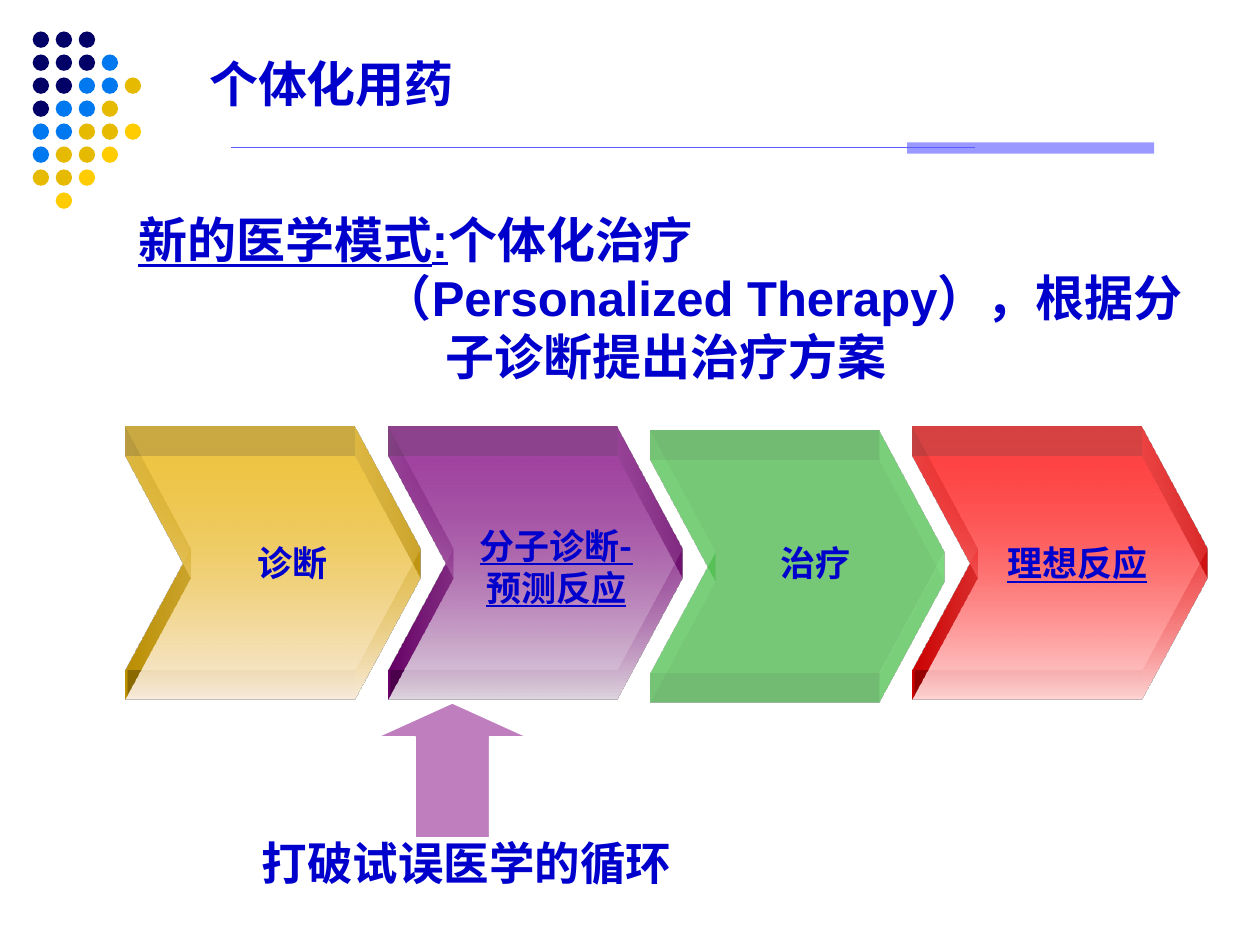
from dataclasses import dataclass

from lxml import etree
from pptx import Presentation
from pptx.dml.color import RGBColor
from pptx.enum.shapes import MSO_CONNECTOR, MSO_SHAPE
from pptx.enum.text import MSO_ANCHOR, PP_ALIGN
from pptx.oxml.ns import qn
from pptx.util import Inches, Pt

OVAL, RECTANGLE, UP_ARROW = MSO_SHAPE.OVAL, MSO_SHAPE.RECTANGLE, MSO_SHAPE.UP_ARROW
STRAIGHT = MSO_CONNECTOR.STRAIGHT
LEFT, CENTER = PP_ALIGN.LEFT, PP_ALIGN.CENTER
TOP, MIDDLE = MSO_ANCHOR.TOP, MSO_ANCHOR.MIDDLE


@dataclass(frozen=True)
class Theme:
    text: str = "0000CC"
    rule: str = "5D5DFF"
    accent: str = "9999FF"
    arrow: str = "800080"
    white: str = "FFFFFF"
    latin: str = "Arial"
    chinese: str = "Noto Sans CJK SC"
    heading: int = 28
    label: int = 20
    caption: int = 26


THEME = Theme()

TITLE = "个体化用药"
MODEL = [
    (-2.44, [("新的医学模式:", True), ("个体化治疗", False)]),
    (-0.5, [("（Personalized Therapy），根据分子诊断提出治疗方案", False)]),
]
STEPS = [
    ("诊断", False, ("EAB200", "F9ECDC"), 3.62, (1.33, 4.25, 1.98, 0.43)),
    ("分子诊断-预测反应", True, ("800080", "DFD5DF"), 3.62, (3.58, 4.11, 1.67, 0.77)),
    ("治疗", False, ("66FF66",), 3.65, (5.72, 4.25, 1.5, 0.43)),
    ("理想反应", True, ("FF0000", "FFD4D4"), 3.62, (7.6, 4.25, 1.9, 0.43)),
]
CAPTION = "打破试误医学的循环"
DOT_ROWS = ["NNN", "NNNB", "NNBBG", "NBBG", "BBGGY", "BGGY", "GGY", " Y"]
DOT_COLOURS = {"N": "000066", "B": "0078F0", "G": "E6BA00", "Y": "FFCC00"}
DOT_LEFT, DOT_TOP, DOT_PITCH, DOT_SIZE = 0.26, 0.25, 0.18, 0.13
DOT_PITCH = (0.99 - DOT_LEFT) / 4
CHEVRON_LEFT, CHEVRON_STEP = 1, 2.08
CHEVRON_WIDTH, CHEVRON_HEIGHT, CHEVRON_NOTCH = 2.34, 1.93, 0.52


def colour(code):
    return RGBColor.from_string(code)


def set_half_transparent(fill_colour):
    alpha = etree.SubElement(fill_colour, qn("a:alpha"))
    alpha.set("val", "50000")


def paint(shape, code):
    shape.shadow.inherit = False
    shape.fill.solid()
    shape.fill.fore_color.rgb = colour(code)
    shape.line.fill.background()


def add_shape(page, kind, place, code):
    shape = page.shapes.add_shape(kind, *map(Inches, place))
    paint(shape, code)
    return shape


def add_span(para, text, font, size, underline=False):
    span = para.add_run()
    span.text = text
    span.font.name = font
    span.font.size = Pt(size)
    span.font.bold = True
    span.font.underline = underline
    span.font.color.rgb = colour(THEME.text)


def add_box(page, place):
    box = page.shapes.add_textbox(*map(Inches, place))
    box.text_frame.word_wrap = True
    box.text_frame.vertical_anchor = TOP
    return box.text_frame


def add_label(page, place, text, size, underline=False):
    para = add_box(page, place).paragraphs[0]
    para.alignment = CENTER
    add_span(para, text, THEME.chinese, size, underline)


def add_dots(page):
    for row, marks in enumerate(DOT_ROWS):
        for column, mark in enumerate(marks):
            if mark in DOT_COLOURS:
                place = (DOT_LEFT + column * DOT_PITCH, DOT_TOP + row * DOT_PITCH,
                         DOT_SIZE, DOT_SIZE)
                add_shape(page, OVAL, place, DOT_COLOURS[mark])


def add_rule(page):
    add_shape(page, RECTANGLE, (7.2, 1.13, 1.96, 0.09), THEME.accent)
    rule = page.shapes.add_connector(STRAIGHT, *map(Inches, (1.83, 1.17, 7.74, 1.17)))
    rule.line.color.rgb = colour(THEME.rule)
    rule.line.width = Pt(0.75)
    etree.SubElement(rule._element.spPr, qn("a:effectLst"))


def add_title(page):
    title = page.shapes.title
    title.left, title.top, title.width, title.height = map(Inches, (1.56, 0.18, 8.21, 0.96))
    title.text_frame.vertical_anchor = MIDDLE
    para = title.text_frame.paragraphs[0]
    para.alignment = LEFT
    add_span(para, TITLE, THEME.latin, THEME.heading)


def add_model(page):
    frame = add_box(page, (1, 1.61, 8.75, 1.5))
    for index, (indent, spans) in enumerate(MODEL):
        para = frame.add_paragraph() if index else frame.paragraphs[0]
        properties = para._p.get_or_add_pPr()
        properties.set("marL", str(Inches(2.44)))
        properties.set("indent", str(Inches(indent)))
        for text, underline in spans:
            add_span(para, text, THEME.latin, THEME.heading, underline)


def extrude(shape, code):
    properties = shape._element.spPr
    scene = etree.SubElement(properties, qn("a:scene3d"))
    etree.SubElement(scene, qn("a:camera"), prst="legacyObliqueTop")
    etree.SubElement(scene, qn("a:lightRig"), rig="legacyFlat3", dir="b")
    solid = etree.SubElement(properties, qn("a:sp3d"), extrusionH="430200",
                             prstMaterial="legacyMatte")
    edge = etree.SubElement(solid, qn("a:extrusionClr"))
    etree.SubElement(edge, qn("a:srgbClr"), val=code)


def add_chevron(page, left, top, colours):
    right, bottom = left + CHEVRON_WIDTH, top + CHEVRON_HEIGHT
    shoulder, middle = right - CHEVRON_NOTCH, top + CHEVRON_HEIGHT / 2
    corners = [(shoulder, top), (right, middle), (shoulder, bottom),
               (left, bottom), (left + CHEVRON_NOTCH, middle)]
    outline = page.shapes.build_freeform(Inches(left), Inches(top))
    outline.add_line_segments([(Inches(x), Inches(y)) for x, y in corners], close=True)
    chevron = outline.convert_to_shape()
    paint(chevron, colours[0])
    if len(colours) > 1:
        chevron.fill.gradient()
        chevron.fill.gradient_angle = 270
        for stop, code in zip(chevron.fill.gradient_stops, colours):
            stop.color.rgb = colour(code)
    set_half_transparent(next(chevron._element.spPr.iter(qn("a:srgbClr"))))
    extrude(chevron, colours[0])


def add_steps(page):
    for index, (text, underline, colours, top, place) in enumerate(STEPS):
        add_chevron(page, CHEVRON_LEFT + index * CHEVRON_STEP, top, colours)
        add_label(page, place, text, THEME.label, underline)


def add_arrow(page):
    arrow = add_shape(page, UP_ARROW, (3, 5.58, 1.18, 1.07), THEME.arrow)
    arrow.adjustments[0], arrow.adjustments[1] = 0.5, 0.25
    set_half_transparent(next(arrow._element.spPr.iter(qn("a:srgbClr"))))
    arrow.line.color.rgb = colour(THEME.white)
    arrow.line.width = Pt(0.75)


def main():
    deck = Presentation()
    deck.slide_width, deck.slide_height = Inches(10), Inches(7.5)
    page = deck.slides.add_slide(deck.slide_layouts[5])
    add_dots(page)
    add_rule(page)
    add_title(page)
    add_model(page)
    add_steps(page)
    add_label(page, (0.83, 6.58, 5.75, 0.53), CAPTION, THEME.caption)
    add_arrow(page)
    deck.save("out.pptx")


if __name__ == "__main__":
    main()
